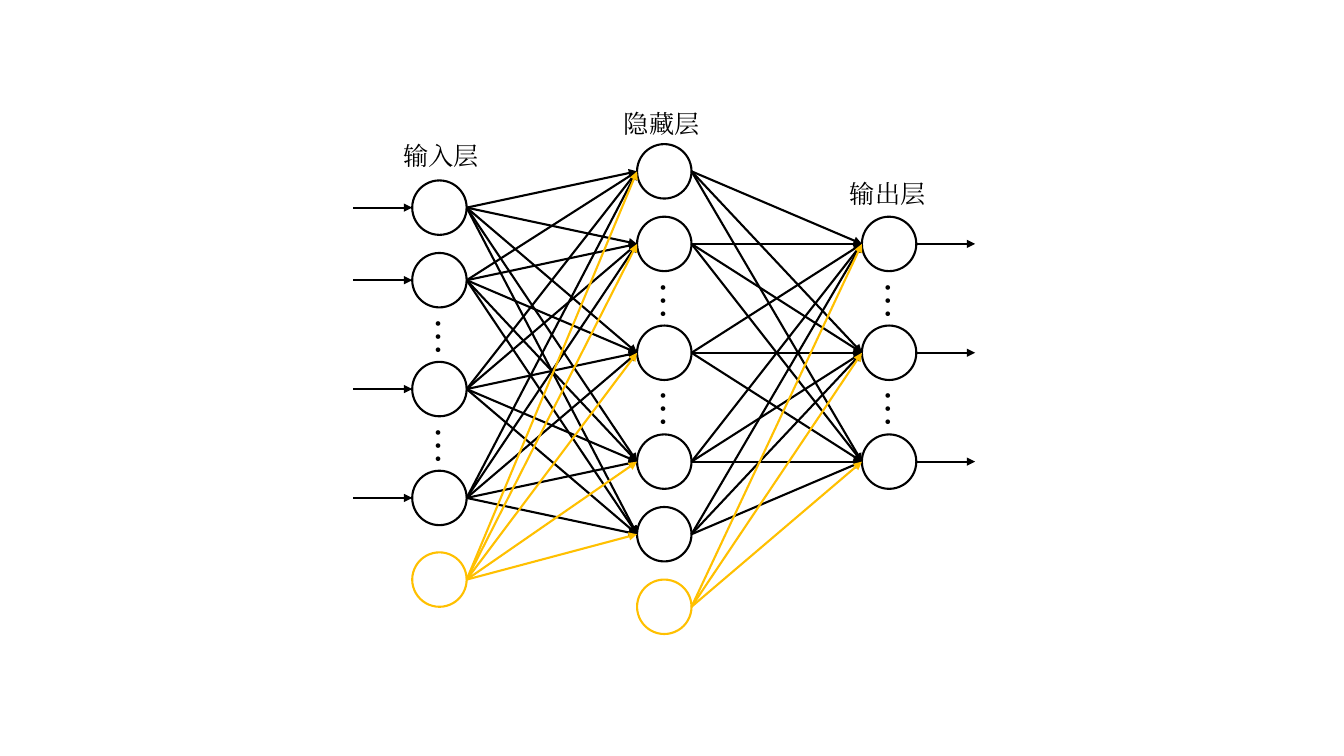
from pptx import Presentation
from pptx.dml.color import RGBColor
from pptx.enum.shapes import MSO_CONNECTOR, MSO_SHAPE
from pptx.enum.text import MSO_AUTO_SIZE
from pptx.oxml.ns import qn
from pptx.util import Pt
from lxml.etree import SubElement

BLACK = RGBColor(0, 0, 0)
GOLD = RGBColor(0xFF, 0xC0, 0x00)
FONT = "Times New Roman"

# Rows count in units up or down from the middle of the slide.
LAYERS = [
    {"name": "输入层", "rows": [-4, -2, 1, 4], "bias": 6.25, "label": (281, 96.5, 69)},
    {"name": "隐藏层", "rows": [-5, -3, 0, 3, 5], "bias": 7, "label": (438.5, 74, 71)},
    {"name": "输出层", "rows": [-3, 0, 3], "bias": None, "label": (600, 124, 69)},
]
UNIT = 25.92
MID = 252
LEFT = 313.9
PITCH = 160.6
RADIUS = 0.75 * UNIT
REACH = 42
GAP = 3

deck = Presentation()
deck.slide_width, deck.slide_height = Pt(960), Pt(540)
slide = deck.slides.add_slide(deck.slide_layouts[6])
shapes = slide.shapes


def row_y(row):
    return MID + row * UNIT


def col_x(col):
    return LEFT + col * PITCH


def add_node(col, row, color):
    node = shapes.add_shape(
        MSO_SHAPE.OVAL, Pt(col_x(col) - RADIUS), Pt(row_y(row) - RADIUS),
        Pt(2 * RADIUS), Pt(2 * RADIUS))
    node.shadow.inherit = False
    node.fill.background()
    node.line.color.rgb = color
    node.line.width = Pt(1.5)


def add_arrow(x1, row1, x2, row2, color=BLACK):
    arrow = shapes.add_connector(
        MSO_CONNECTOR.STRAIGHT, Pt(x1), Pt(row_y(row1)), Pt(x2), Pt(row_y(row2)))
    arrow.line.color.rgb = color
    arrow.line.width = Pt(1.5)
    SubElement(arrow.line._get_or_add_ln(), qn("a:tailEnd"), type="triangle")
    SubElement(arrow._element.spPr, qn("a:effectLst"))


def add_text(text, x, y, width, height, size, upright=False):
    box = shapes.add_textbox(Pt(x), Pt(y), Pt(width), Pt(height))
    frame = box.text_frame
    frame.word_wrap = upright
    frame.auto_size = MSO_AUTO_SIZE.SHAPE_TO_FIT_TEXT
    if upright:
        frame._txBody.bodyPr.set("vert", "eaVert")
    run = frame.paragraphs[0].add_run()
    run.text = text
    run.font.size = Pt(size)
    run.font.name = FONT
    run.font.color.rgb = BLACK
    SubElement(run._r.get_or_add_rPr(), qn("a:ea"), typeface=FONT)


def link(col, row, color):
    """Join one node to every node of the next layer."""
    for goal in LAYERS[col + 1]["rows"]:
        add_arrow(col_x(col) + RADIUS, row, col_x(col + 1) - RADIUS, goal, color)


last = len(LAYERS) - 1
for col, layer in enumerate(LAYERS):
    rows = layer["rows"]
    for row in rows:
        add_node(col, row, BLACK)
    for row, after in zip(rows, rows[1:]):
        if after - row == GAP:
            add_text("…", col_x(col) - RADIUS + 0.7, row_y(row) + RADIUS,
                     48.2, 2 * RADIUS, 28, upright=True)

for col, layer in enumerate(LAYERS[:-1]):
    for row in layer["rows"]:
        link(col, row, BLACK)

for row in LAYERS[last]["rows"]:
    edge = col_x(last) + RADIUS
    add_arrow(edge, row, edge + REACH, row)
for row in LAYERS[0]["rows"]:
    edge = LEFT - RADIUS
    add_arrow(edge - REACH, row, edge, row)

for col, layer in enumerate(LAYERS[:-1]):
    add_node(col, layer["bias"], GOLD)
    link(col, layer["bias"], GOLD)

for layer in LAYERS:
    x, y, width = layer["label"]
    add_text(layer["name"], x, y, width, 29, 18)

deck.save("out.pptx")
